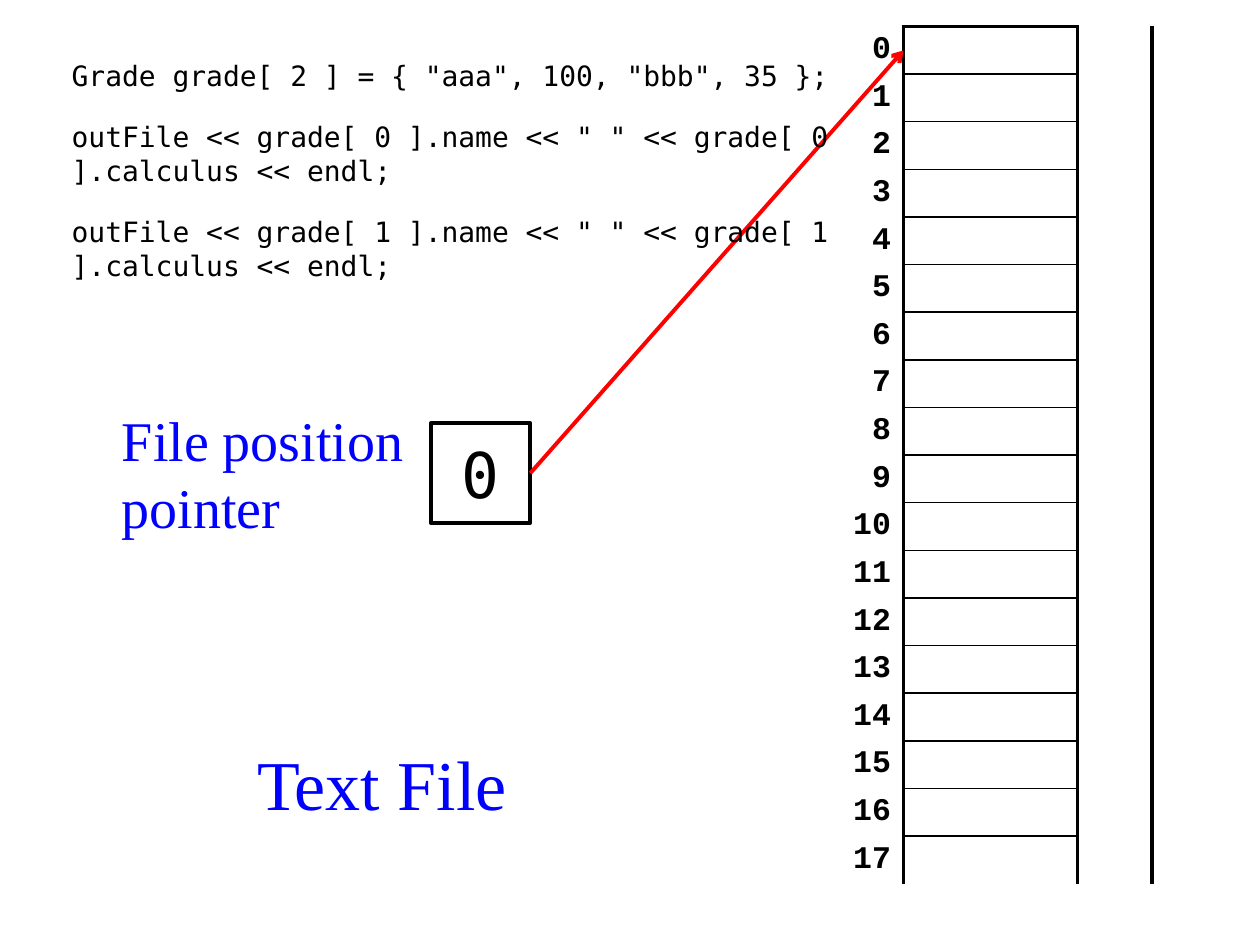
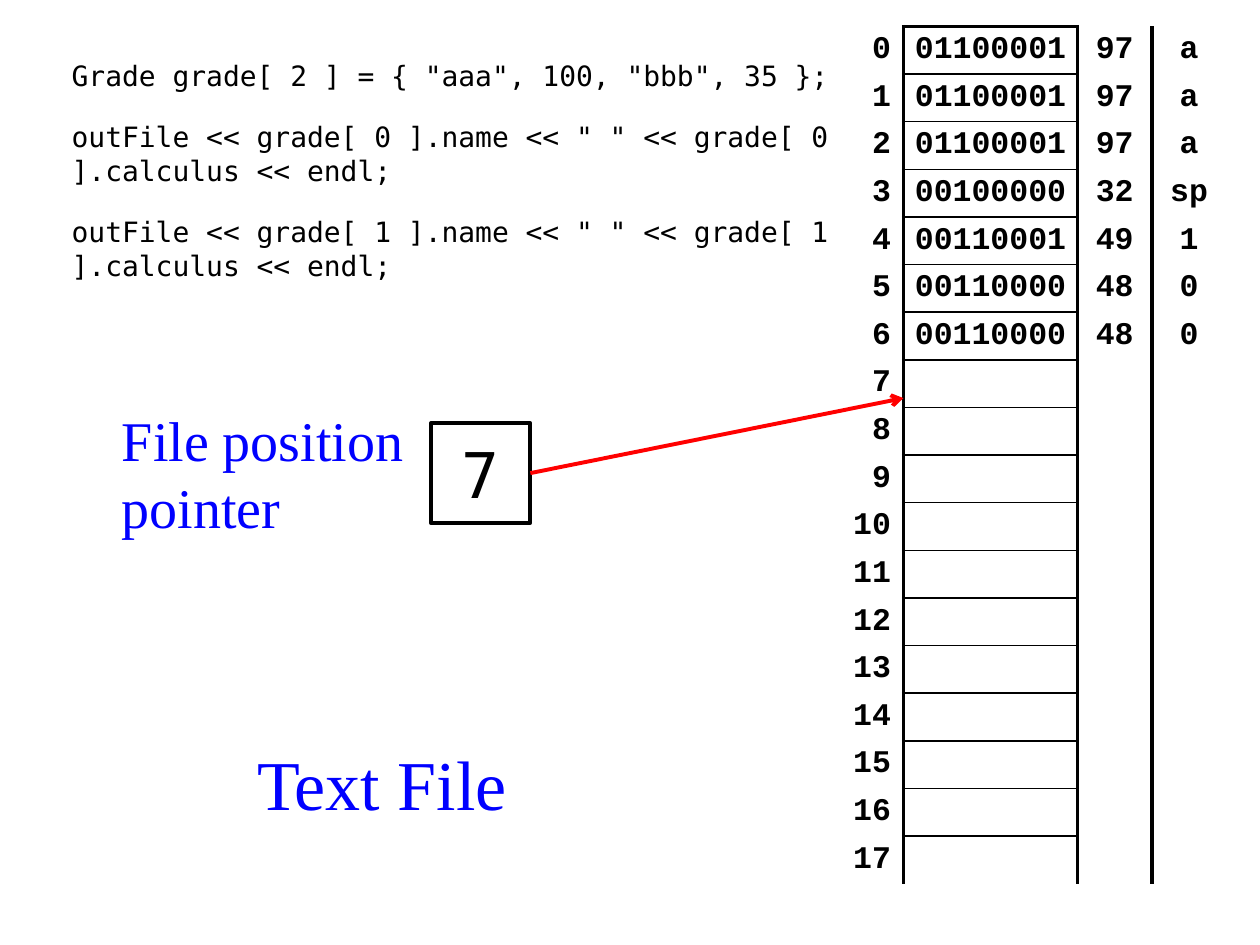
from lxml.etree import SubElement
from pptx import Presentation
from pptx.dml.color import RGBColor
from pptx.enum.shapes import MSO_CONNECTOR, MSO_SHAPE
from pptx.enum.text import MSO_ANCHOR, MSO_AUTO_SIZE, PP_ALIGN
from pptx.oxml.ns import qn
from pptx.util import Pt

# Content
TITLE = "Text File"
CODE = [
    'Grade grade[ 2 ] = { "aaa", 100, "bbb", 35 };',
    'outFile << grade[ 0 ].name << " " << grade[ 0 ].calculus << endl;',
    'outFile << grade[ 1 ].name << " " << grade[ 1 ].calculus << endl;',
]
POINTER_LABEL = ["File position", "pointer"]
WRITTEN_BYTES = [
    ("01100001", "97", "a"),
    ("01100001", "97", "a"),
    ("01100001", "97", "a"),
    ("00100000", "32", "sp"),
    ("00110001", "49", "1"),
    ("00110000", "48", "0"),
    ("00110000", "48", "0"),
]
# Bytes in the file, and the height at which the arrow meets the file
SLIDES = [
    {"bytes": [], "arrow_end": 28.8},
    {"bytes": WRITTEN_BYTES, "arrow_end": 227.5},
]

# Shared look
COLORS = {"text": "000000", "heading": "0000FF", "arrow": "FF0000"}
FORMATS = {
    "title": {"name": "Times New Roman", "size": Pt(40), "color": "heading"},
    "label": {"name": "Times New Roman", "size": Pt(32), "color": "heading"},
    "code": {"name": "DejaVu Sans Mono", "size": Pt(16), "color": "text"},
    "pointer": {"name": "DejaVu Sans Mono", "size": Pt(36), "color": "text"},
    "memory": {"name": "Courier New", "size": Pt(18), "bold": True, "color": "text"},
}
THICK, THIN = 2.25, 1
NO_GRID_STYLE = "{2D5ABB26-0587-4C30-8999-92F81FD0307C}"

# Layout, in points
TITLE_AREA = (133.2, 411.8, 169.9, 70.6)
CODE_AREA = (33.8, 28.8, 453.6, 141.8)
POINTER_AREA = (246.2, 241.9, 56.9, 56.9)
LABEL_AREA = (62.6, 227.5, 184.3, 85)
MEMORY_LEFT, MEMORY_TOP = 473.8, 15.1
COLUMN_WIDTHS = [42.5, 99.4, 42.5, 42.5]
ROW_COUNT, ROW_HEIGHT = 18, 27.24


def points(values):
    return [Pt(value) for value in values]


def color(name):
    return RGBColor.from_string(COLORS[name])


def place(shape, area):
    for name, value in zip(("left", "top", "width", "height"), points(area)):
        setattr(shape, name, value)


def write(frame, lines, style, **paragraph_values):
    """Fill a text frame with one paragraph per line."""
    for index, line in enumerate(lines):
        paragraph = frame.paragraphs[0] if index == 0 else frame.add_paragraph()
        for name, value in paragraph_values.items():
            if name != "space_before" or index > 0:
                setattr(paragraph, name, value)
        run = paragraph.add_run()
        run.text = line
        for name, value in FORMATS[style].items():
            if name == "color":
                run.font.color.rgb = color(value)
            else:
                setattr(run.font, name, value)


def add_border(cell, side, width):
    line = SubElement(cell._tc.get_or_add_tcPr(), qn("a:ln" + side), w=str(Pt(width)))
    fill = SubElement(line, qn("a:solidFill"))
    SubElement(fill, qn("a:srgbClr"), val=COLORS["text"])


def borders(row, column):
    """Sides in the order the file format asks for: L, R, T, B."""
    if column == 0:
        return {"R": THICK}
    if column == 1:
        sides = {"L": THICK, "R": THICK, "T": THIN if row else THICK}
        return sides if row == ROW_COUNT - 1 else {**sides, "B": THIN}
    return {"L": THICK} if column == 2 else {}


def add_memory(slide, written):
    frame = slide.shapes.add_table(
        ROW_COUNT, len(COLUMN_WIDTHS), Pt(MEMORY_LEFT), Pt(MEMORY_TOP),
        Pt(sum(COLUMN_WIDTHS)), Pt(ROW_COUNT * ROW_HEIGHT))
    table = frame.table
    table.first_row = table.horz_banding = False
    table._tbl.tblPr.find(qn("a:tableStyleId")).text = NO_GRID_STYLE
    for column, width in zip(table.columns, COLUMN_WIDTHS):
        column.width = Pt(width)
    for row_index, row in enumerate(table.rows):
        row.height = Pt(ROW_HEIGHT)
        values = written[row_index] if row_index < len(written) else ("", "", "")
        for column_index, value in enumerate((str(row_index), *values)):
            cell = row.cells[column_index]
            cell.vertical_anchor = MSO_ANCHOR.MIDDLE
            cell.margin_top = cell.margin_bottom = 0
            cell.margin_left = cell.margin_right = Pt(5.76 if column_index == 1 else 7.2)
            for side, width in borders(row_index, column_index).items():
                add_border(cell, side, width)
            cell.fill.background()
            if value:
                alignment = PP_ALIGN.CENTER if column_index else PP_ALIGN.RIGHT
                write(cell.text_frame, [value], "memory", alignment=alignment)


def add_title(slide):
    title = slide.shapes.title
    place(title, TITLE_AREA)
    title.text_frame.auto_size = MSO_AUTO_SIZE.NONE
    title.text_frame.vertical_anchor = MSO_ANCHOR.MIDDLE
    write(title.text_frame, [TITLE], "title", alignment=PP_ALIGN.CENTER)


def add_code(slide):
    body = slide.placeholders[1]
    place(body, CODE_AREA)
    frame = body.text_frame
    frame.auto_size = MSO_AUTO_SIZE.NONE
    frame.margin_top = Pt(4.6)
    write(frame, CODE, "code", line_spacing=Pt(19.4), space_before=Pt(15.5))
    frame.paragraphs[0].space_before = Pt(0)
    for paragraph in frame.paragraphs:
        properties = paragraph._p.get_or_add_pPr()
        properties.set("marL", "0")
        properties.set("indent", "0")
        SubElement(properties, qn("a:buNone"))
    # The code lies above the arrow
    slide.shapes._spTree.append(body._element)


def add_pointer(slide, position, arrow_end):
    # Box with the current position
    box = slide.shapes.add_shape(MSO_SHAPE.RECTANGLE, *points(POINTER_AREA))
    box.shadow.inherit = False
    box.fill.background()
    box.line.color.rgb = color("text")
    box.line.width = Pt(THICK)
    box.text_frame.word_wrap = False
    box.text_frame.vertical_anchor = MSO_ANCHOR.MIDDLE
    write(box.text_frame, [str(position)], "pointer", alignment=PP_ALIGN.CENTER)

    # Arrow from the box to the file
    left, top, width, height = POINTER_AREA
    arrow = slide.shapes.add_connector(
        MSO_CONNECTOR.STRAIGHT,
        *points((left + width, top + height / 2,
                 MEMORY_LEFT + COLUMN_WIDTHS[0], arrow_end)))
    arrow.begin_connect(box, 3)
    arrow.line.color.rgb = color("arrow")
    arrow.line.width = Pt(THICK)
    SubElement(arrow.line._get_or_add_ln(), qn("a:tailEnd"), type="arrow")
    SubElement(arrow._element.spPr, qn("a:effectLst"))

    # Label beside the box
    label = slide.shapes.add_textbox(*points(LABEL_AREA))
    label.text_frame.word_wrap = True
    label.text_frame.vertical_anchor = MSO_ANCHOR.MIDDLE
    write(label.text_frame, POINTER_LABEL, "label", line_spacing=Pt(38.3))


def main():
    presentation = Presentation()
    presentation.slide_width, presentation.slide_height = Pt(720), Pt(540)
    for content in SLIDES:
        slide = presentation.slides.add_slide(presentation.slide_layouts[1])
        add_memory(slide, content["bytes"])
        add_title(slide)
        add_pointer(slide, len(content["bytes"]), content["arrow_end"])
        add_code(slide)
    presentation.save("out.pptx")


if __name__ == "__main__":
    main()
